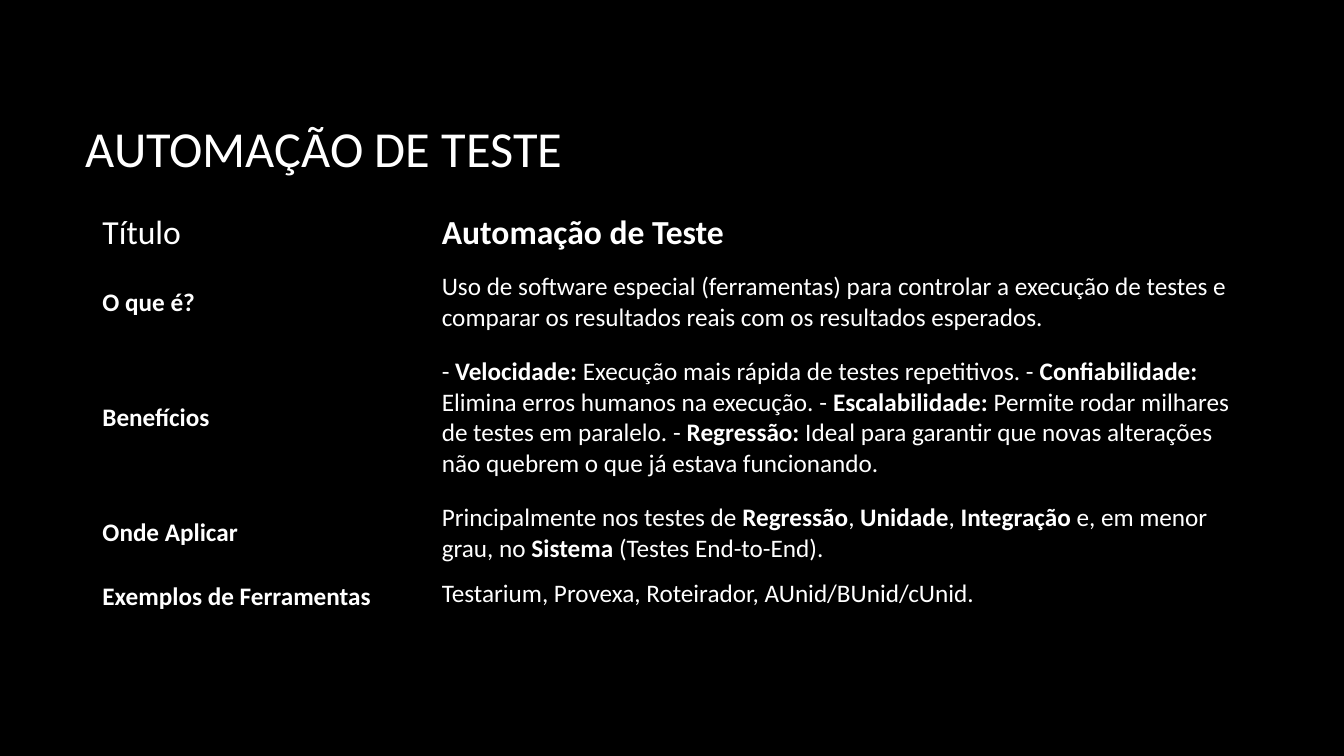
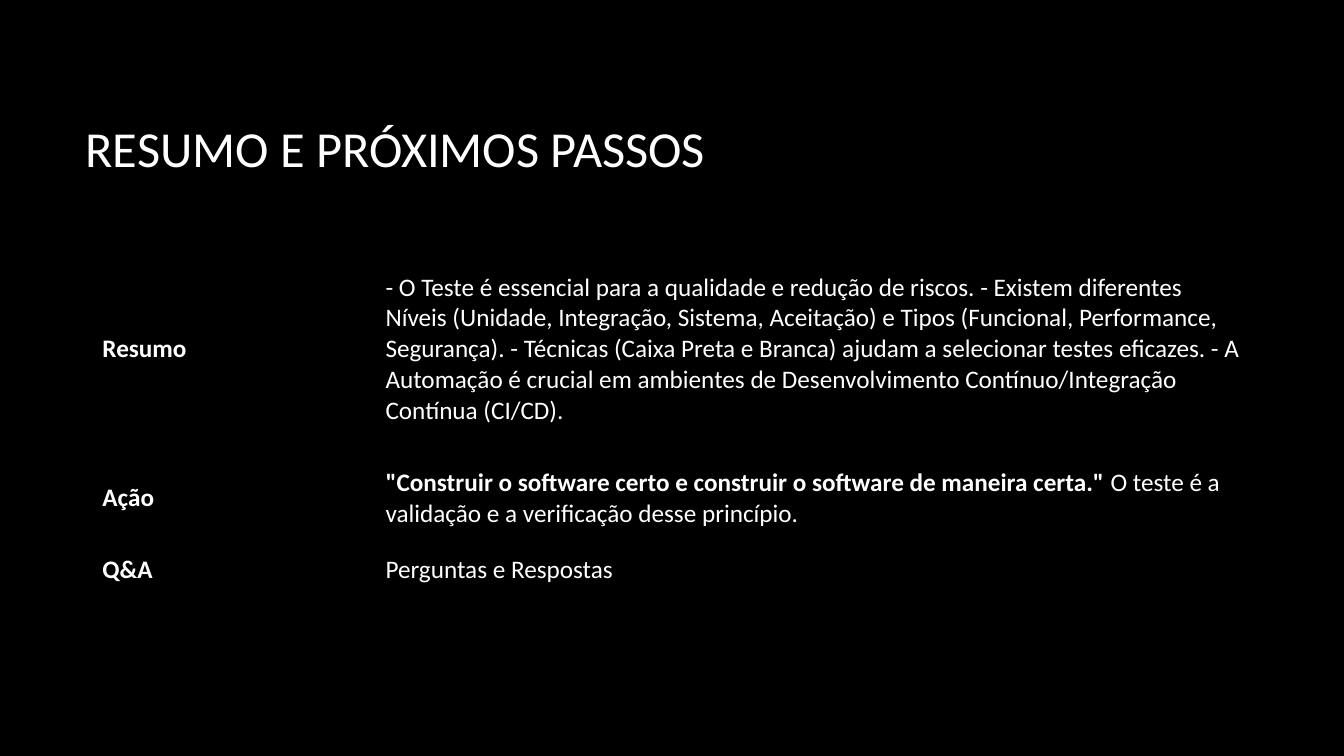
from pptx import Presentation
from pptx import util as u
from pptx.dml.color import RGBColor
from pptx.enum import text

BLACK = RGBColor(0, 0, 0)
WHITE = RGBColor(255, 255, 255)
PLAIN = "{2D5ABB26-0587-4C30-8999-92F81FD0307C}"  # table style without grid
MID = text.MSO_ANCHOR.MIDDLE
TOP = text.MSO_ANCHOR.TOP


def unit(n):
    """Length of n grid units, 160 across and 90 down the slide."""
    return u.Inches(n / 12)


class Deck:
    font = "Calibri"
    left, width = 11, 138

    def __init__(self):
        self.prs = Presentation()
        self.prs.slide_width, self.prs.slide_height = unit(160), unit(90)
        fill = self.prs.slide_master.background.fill
        fill.solid()
        fill.fore_color.rgb = BLACK

    def style(self, run, size, bold=False):
        font = run.font
        font.name, font.size, font.bold = self.font, u.Pt(size), bold
        font.color.rgb = WHITE

    def slide(self, title):
        self.page = self.prs.slides.add_slide(self.prs.slide_layouts[5])
        box = self.page.shapes.title
        box.left, box.top = unit(9), unit(8)
        box.width, box.height = unit(133), unit(19.1)
        frame = box.text_frame
        frame.text = title
        frame.auto_size = text.MSO_AUTO_SIZE.NONE
        frame.vertical_anchor = MID
        para = frame.paragraphs[0]
        para.alignment = text.PP_ALIGN.LEFT
        self.style(para.runs[0], 36)

    def cell(self, cell, words, size, anchor):
        """Fill a cell; words between ** marks are bold."""
        cell.fill.background()
        cell.vertical_anchor = anchor
        para = cell.text_frame.paragraphs[0]
        for i, part in enumerate(words.split("**")):
            if part:
                run = para.add_run()
                run.text = part
                self.style(run, size, i % 2 == 1)

    def table(self, top, split, rows):
        """Two columns; each row is height, label, words, size, anchor of words."""
        high = sum(row[0] for row in rows)
        frame = self.page.shapes.add_table(
            len(rows), 2, unit(self.left), unit(top), unit(self.width), unit(high))
        table = frame.table
        table.first_row = table.horz_banding = False
        table._tbl.tblPr[0].text = PLAIN
        table.columns[0].width = unit(split)
        table.columns[1].width = unit(self.width - split)
        for line, (height, label, words, size, anchor) in zip(table.rows, rows):
            line.height = unit(height)
            self.cell(line.cells[0], label, size, MID)
            self.cell(line.cells[1], words, size, anchor)


def main():
    deck = Deck()

    deck.slide("AUTOMAÇÃO DE TESTE")
    deck.table(24.4, 40.4, [
        (6.8, "Título", "**Automação de Teste**", 24, MID),
        (9.6, "**O que é?**",
         "Uso de software especial (ferramentas) para controlar a execução de "
         "testes e comparar os resultados reais com os resultados esperados.", 18, MID),
        (17.9, "**Benefícios**",
         "- **Velocidade:** Execução mais rápida de testes repetitivos. "
         "- **Confiabilidade:** Elimina erros humanos na execução. "
         "- **Escalabilidade:** Permite rodar milhares de testes em paralelo. "
         "- **Regressão:** Ideal para garantir que novas alterações não quebrem "
         "o que já estava funcionando.", 18, MID),
        (9.6, "**Onde Aplicar**",
         "Principalmente nos testes de **Regressão**, **Unidade**, **Integração** "
         "e, em menor grau, no **Sistema** (Testes End-to-End).", 18, MID),
        (5.5, "**Exemplos de Ferramentas**",
         "Testarium, Provexa, Roteirador, AUnid/BUnid/cUnid.", 18, TOP),
    ])

    deck.slide("RESUMO E PRÓXIMOS PASSOS")
    deck.table(29.2, 33.7, [
        (24.7, "**Resumo**",
         "- O Teste é essencial para a qualidade e redução de riscos. "
         "- Existem diferentes Níveis (Unidade, Integração, Sistema, Aceitação) "
         "e Tipos (Funcional, Performance, Segurança). "
         "- Técnicas (Caixa Preta e Branca) ajudam a selecionar testes eficazes. "
         "- A Automação é crucial em ambientes de Desenvolvimento "
         "Contínuo/Integração Contínua (CI/CD).", 18, MID),
        (10.8, "**Ação**",
         '**"Construir o software certo e construir o software de maneira certa."** '
         "O teste é a validação e a verificação desse princípio.", 18, MID),
        (6.2, "**Q&A**", "Perguntas e Respostas", 18, MID),
    ])

    deck.prs.save("out.pptx")


if __name__ == "__main__":
    main()
